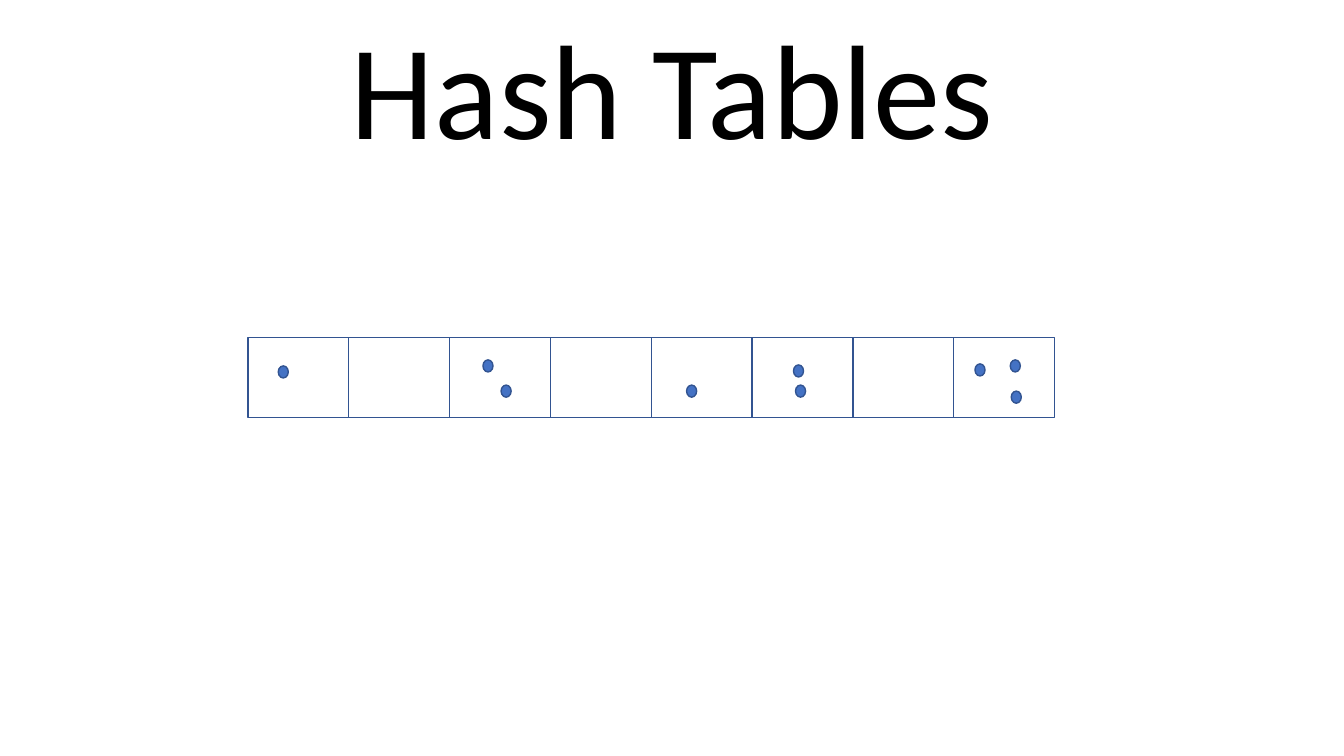
from typing import NamedTuple

from pptx import Presentation, util as u
from pptx.dml.color import RGBColor
from pptx.enum import shapes, text

BLACK = RGBColor(0x00, 0x00, 0x00)
BLUE = RGBColor(0x44, 0x72, 0xC4)
NAVY = RGBColor(0x32, 0x54, 0x91)

# Table grid, in inches
LEFT, TOP = 2.46, 3.35
CELL_W, CELL_H = 1, 0.79
SLOTS = 8
DOT_W, DOT_H = 0.1, 0.12


class Key(NamedTuple):
    """A stored key: its slot and its offset within that slot."""
    slot: int
    dx: float
    dy: float


KEYS = [
    Key(0, 0.30, 0.28),
    Key(2, 0.33, 0.22), Key(2, 0.51, 0.47),
    Key(4, 0.35, 0.47),
    Key(5, 0.41, 0.27), Key(5, 0.43, 0.47),
    Key(7, 0.56, 0.22), Key(7, 0.21, 0.26), Key(7, 0.57, 0.53),
]


def write(shape, words: str, *, size: float, font: str = "Calibri",
          color: RGBColor = BLACK, align=text.PP_ALIGN.CENTER) -> None:
    frame = shape.text_frame
    frame.text = words
    frame.word_wrap = True
    frame.vertical_anchor = text.MSO_ANCHOR.TOP
    frame.auto_size = text.MSO_AUTO_SIZE.SHAPE_TO_FIT_TEXT
    para = frame.paragraphs[0]
    para.alignment = align
    face = para.runs[0].font
    face.name, face.size = font, u.Pt(size)
    face.color.rgb = color


def draw(host, kind, x: float, y: float, w: float, h: float,
         fill: RGBColor | None = None) -> None:
    shape = host.add_shape(kind, *map(u.Inches, (x, y, w, h)))
    shape.shadow.inherit = False
    shape.line.color.rgb = NAVY
    shape.line.width = u.Pt(1)
    if fill is None:
        shape.fill.background()
    else:
        shape.fill.solid()
        shape.fill.fore_color.rgb = fill


deck = Presentation()
deck.slide_width, deck.slide_height = u.Inches(13.33), u.Inches(7.5)
slide = deck.slides.add_slide(deck.slide_layouts[5])

# Title
title = slide.shapes.title
title.left, title.top = 0, 0
title.width, title.height = deck.slide_width, u.Inches(1.72)
write(title, "Hash Tables", size=96)

# Slots
row = slide.shapes.add_group_shape()
for slot in range(SLOTS):
    draw(row.shapes, shapes.MSO_SHAPE.RECTANGLE,
         LEFT + slot * CELL_W, TOP, CELL_W, CELL_H)

# Keys
for key in KEYS:
    draw(slide.shapes, shapes.MSO_SHAPE.OVAL,
         LEFT + key.slot * CELL_W + key.dx, TOP + key.dy,
         DOT_W, DOT_H, fill=BLUE)

deck.save("out.pptx")
